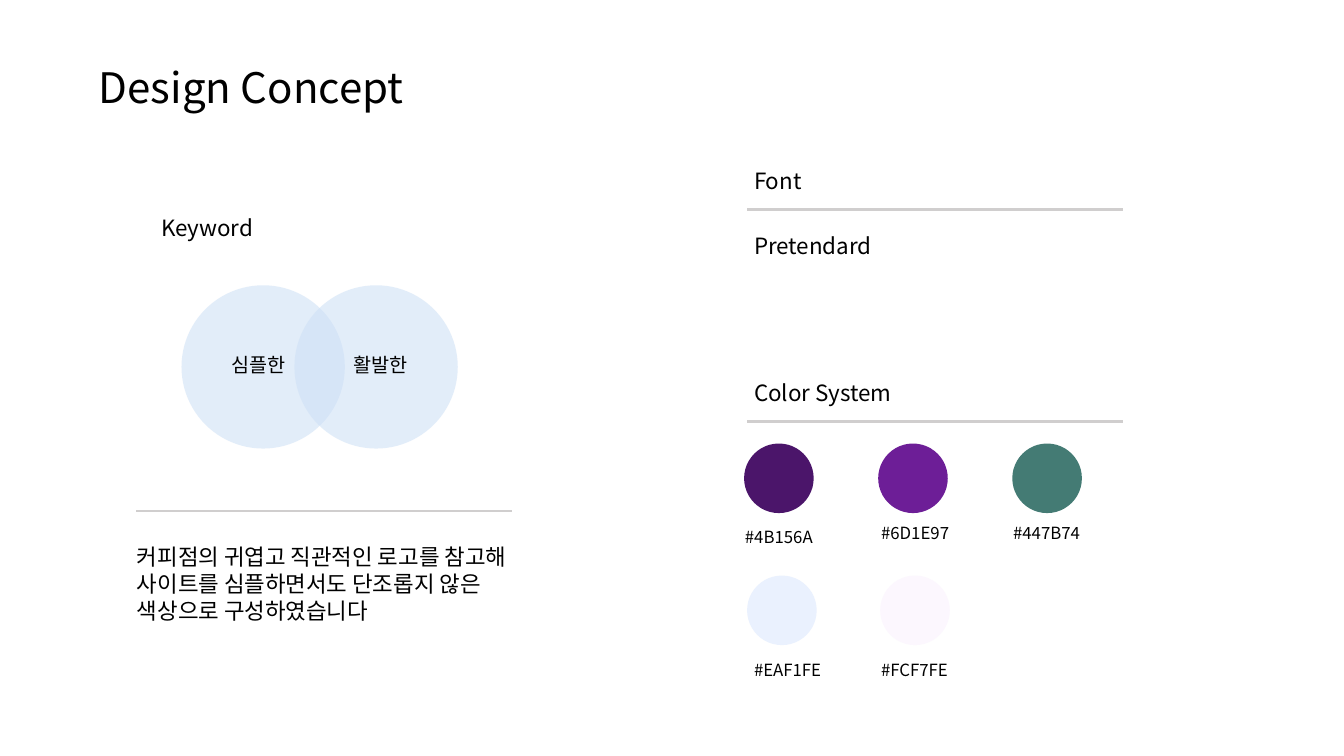
from dataclasses import dataclass

from lxml import etree
from pptx import Presentation
from pptx import util as u
from pptx.dml.color import RGBColor
from pptx.enum import shapes, text
from pptx.oxml import ns

PX = 9144  # EMU: 100 px to the inch
FONT = "Noto Sans CJK KR"
COLORS = {
    "ink": "000000",
    "rule": "D0CECE",
    "keyword": "CDE0F6",
    "plum": "4B156A",
    "violet": "6D1E97",
    "teal": "447B74",
    "ice": "EAF1FE",
    "blush": "FCF7FE",
}


@dataclass
class Label:
    lines: list[str]
    x: int
    y: int
    w: int
    h: int
    size: int = 16
    wrap: bool = False


@dataclass
class Circle:
    color: str
    x: int
    y: int
    d: int
    alpha: int = 100


@dataclass
class Rule:
    x: int
    y: int
    w: int = 373


@dataclass
class Swatch:
    """A colour dot and the place of its hex code."""
    color: str
    x: int
    y: int
    code_x: int
    code_y: int


LABELS = [
    Label(["Keyword"], 150, 208, 115, 37),
    Label(["심플한"], 220, 345, 74, 34, 14),
    Label(["활발한"], 341, 345, 74, 34, 14),
    Label(["커피점의 귀엽고 직관적인 로고를 참고해",
           "사이트를 심플하면서도 단조롭지 않은 색상으로 구성하였습니다"],
          126, 534, 395, 91, wrap=True),
    Label(["Font"], 738, 161, 69, 37),
    Label(["Pretendard"], 738, 225, 138, 37),
    Label(["Color System"], 738, 371, 162, 37),
]
KEYWORD_CIRCLES = [
    Circle("keyword", 180, 283, 162, 56),
    Circle("keyword", 292, 283, 162, 57),
]
RULES = [Rule(135, 507), Rule(741, 208), Rule(741, 418)]
SWATCHES = [
    Swatch("plum", 738, 440, 729, 518),
    Swatch("violet", 871, 440, 864, 514),
    Swatch("teal", 1004, 440, 995, 514),
    Swatch("ice", 741, 571, 738, 650),
    Swatch("blush", 873, 571, 864, 650),
]


def px(n: int) -> u.Emu:
    return u.Emu(n * PX)


def rgb(name: str) -> RGBColor:
    return RGBColor.from_string(COLORS[name])


def write_label(sp, label: Label) -> None:
    """Place a text shape and fill it."""
    sp.left, sp.top = px(label.x), px(label.y)
    sp.width, sp.height = px(label.w), px(label.h)
    tf = sp.text_frame
    tf.word_wrap = label.wrap
    tf.auto_size = text.MSO_AUTO_SIZE.SHAPE_TO_FIT_TEXT
    tf.vertical_anchor = text.MSO_ANCHOR.TOP
    for i, line in enumerate(label.lines):
        p = tf.add_paragraph() if i else tf.paragraphs[0]
        p.alignment = text.PP_ALIGN.LEFT
        r = p.add_run()
        r.text = line
        r.font.size = u.Pt(label.size)
        r.font.color.rgb = rgb("ink")
        r.font.name = FONT
        ea = etree.SubElement(r.font._element, ns.qn("a:ea"))
        ea.set("typeface", FONT)


def add_label(s, label: Label) -> None:
    write_label(s.shapes.add_textbox(0, 0, 0, 0), label)


def add_circle(s, c: Circle) -> None:
    sp = s.shapes.add_shape(shapes.MSO_SHAPE.OVAL,
                            px(c.x), px(c.y), px(c.d), px(c.d))
    sp.shadow.inherit = False
    sp.line.fill.background()
    sp.fill.solid()
    sp.fill.fore_color.rgb = rgb(c.color)
    if c.alpha < 100:
        clr = sp._element.spPr.find(".//" + ns.qn("a:srgbClr"))
        etree.SubElement(clr, ns.qn("a:alpha")).set("val", str(c.alpha * 1000))


def add_rule(s, rule: Rule) -> None:
    sp = s.shapes.add_connector(shapes.MSO_CONNECTOR.STRAIGHT, px(rule.x),
                                px(rule.y), px(rule.x + rule.w), px(rule.y))
    sp.line.color.rgb = rgb("rule")
    sp.line.width = u.Pt(2)
    etree.SubElement(sp._element.spPr, ns.qn("a:effectLst"))


def add_swatch(s, sw: Swatch) -> None:
    add_circle(s, Circle(sw.color, sw.x, sw.y, 69))
    add_label(s, Label(["#" + COLORS[sw.color]],
                       sw.code_x, sw.code_y, 88, 30, 12))


def main() -> None:
    prs = Presentation()
    prs.slide_width, prs.slide_height = px(1333), px(750)
    s = prs.slides.add_slide(prs.slide_layouts.get_by_name("Title Only"))
    write_label(s.shapes.title, Label(["Design Concept"], 88, 56, 345, 61, 30))
    for circle in KEYWORD_CIRCLES:
        add_circle(s, circle)
    for rule in RULES:
        add_rule(s, rule)
    for label in LABELS:
        add_label(s, label)
    for swatch in SWATCHES:
        add_swatch(s, swatch)
    prs.save("out.pptx")


if __name__ == "__main__":
    main()
